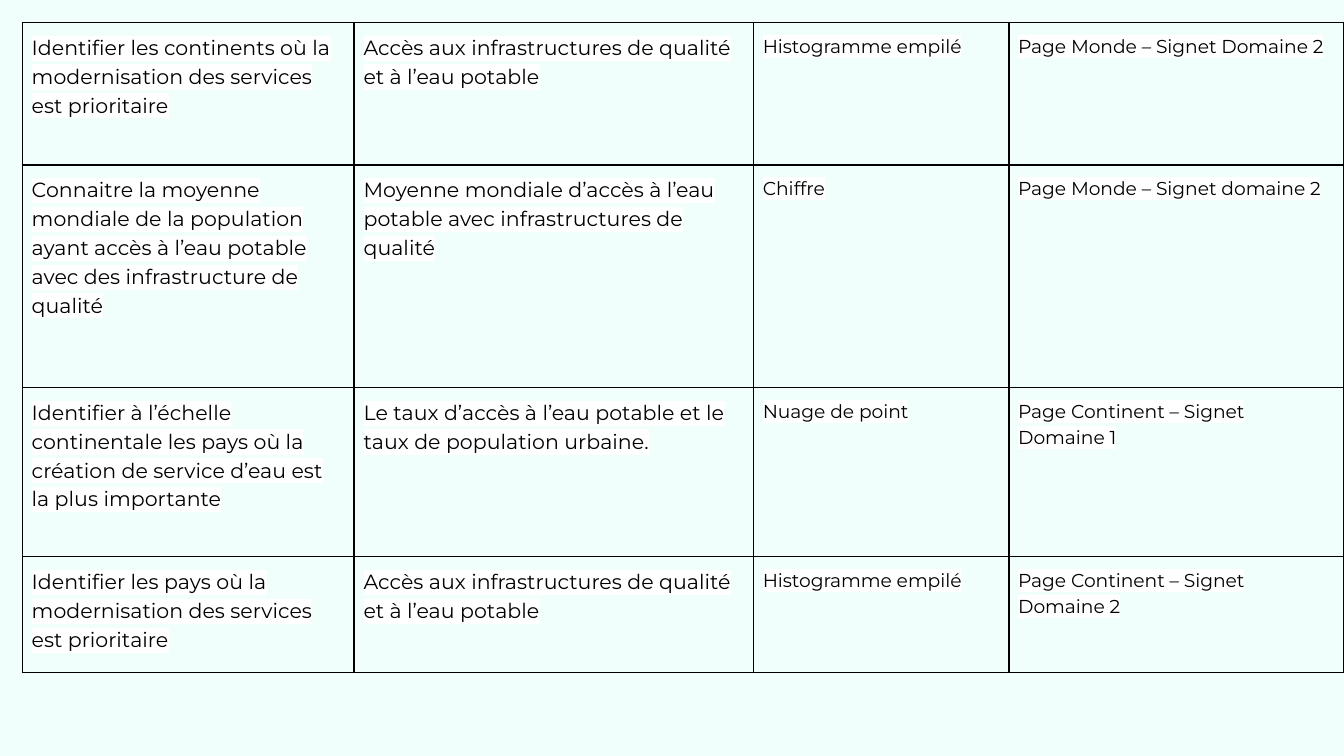
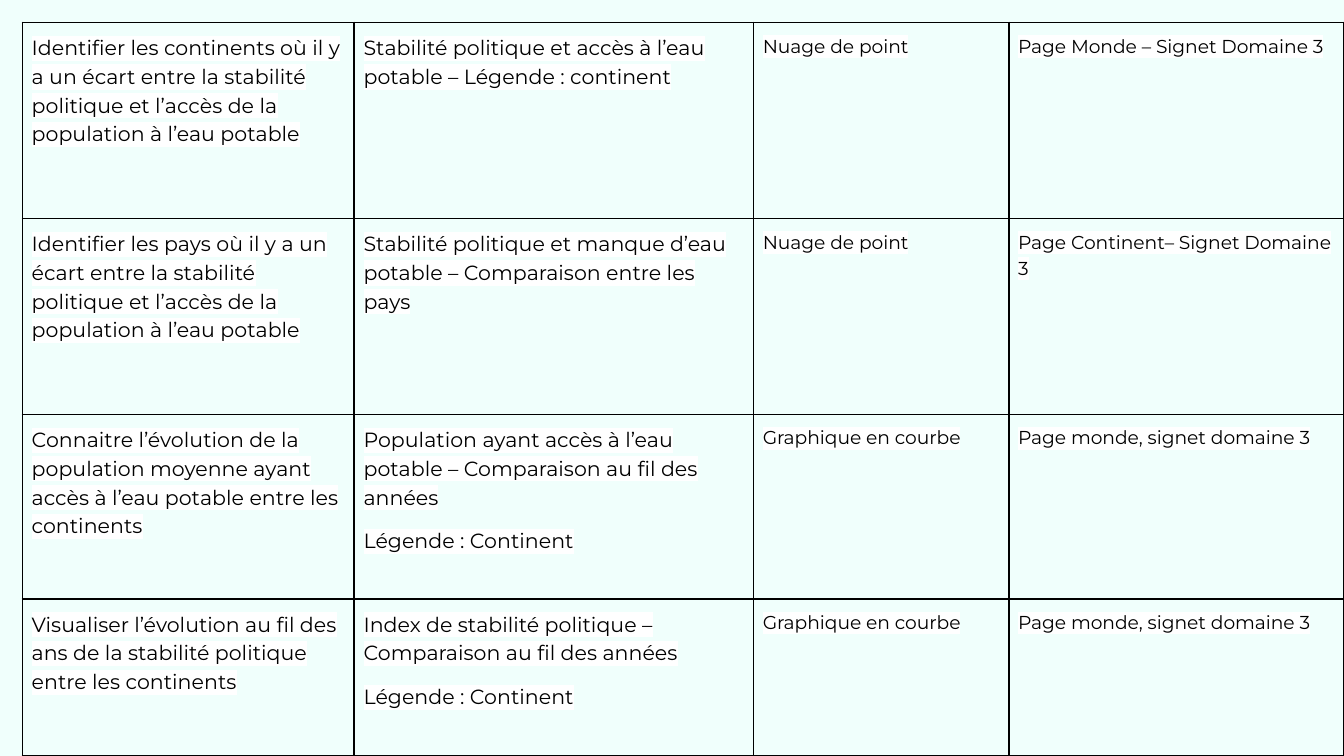
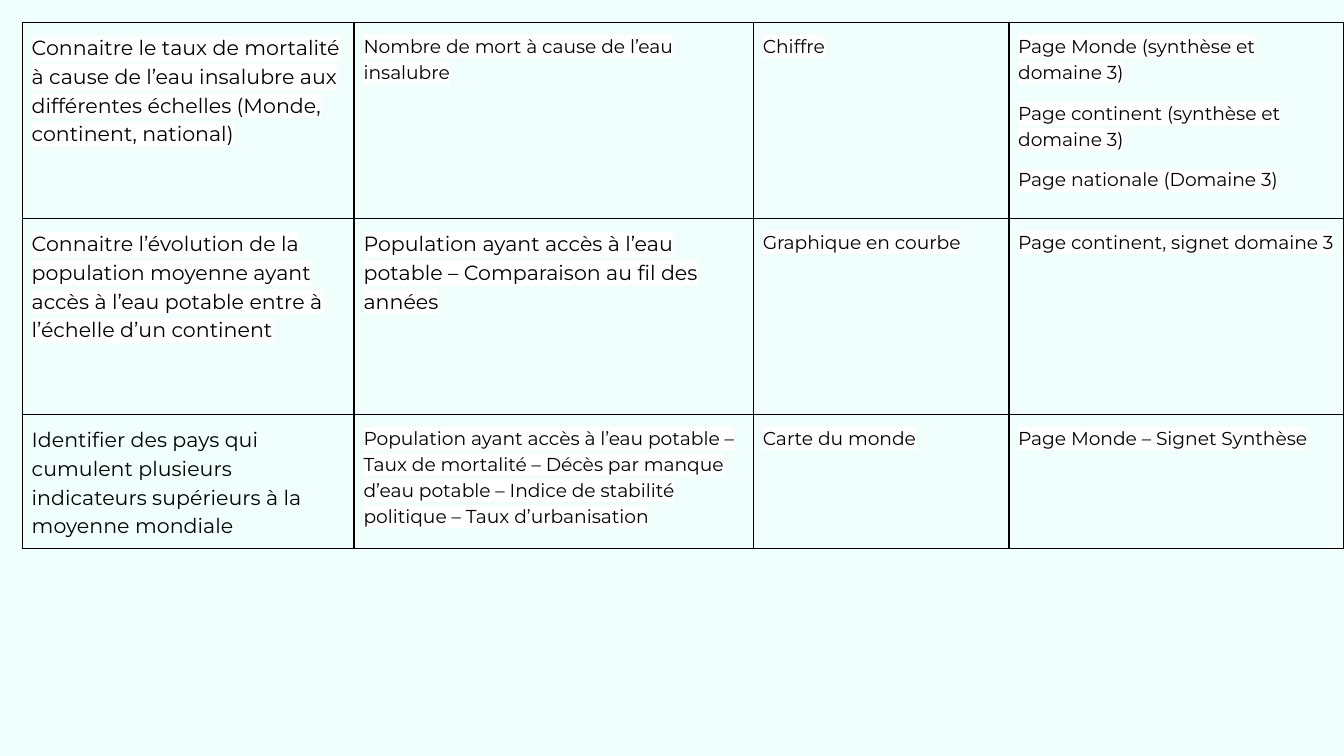
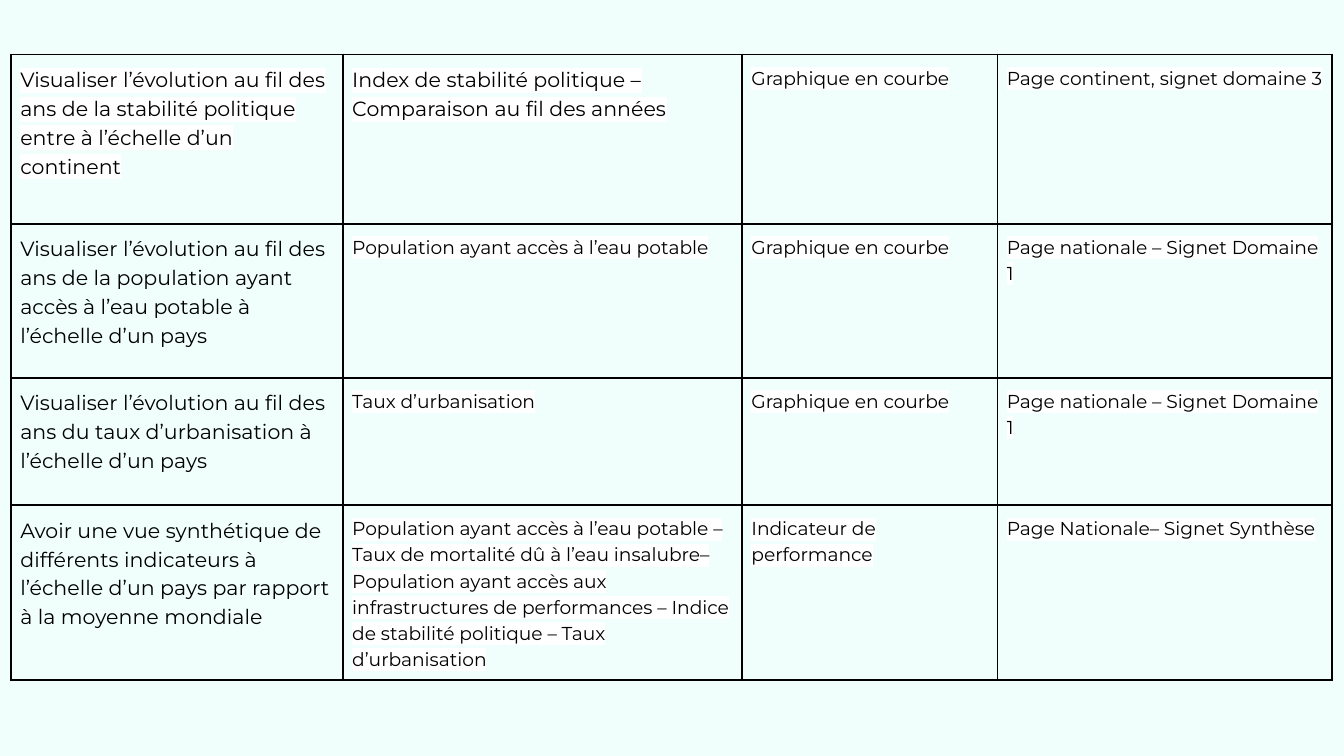
"""Build four slides of tables that list dashboard needs, indicators, visuals and pages."""
from dataclasses import dataclass

from lxml import etree
from pptx import Presentation
from pptx.dml.color import RGBColor
from pptx.oxml import ns
from pptx.util import Pt

BACKGROUND = RGBColor(0xF0, 0xFF, 0xFC)
BLACK = RGBColor(0, 0, 0)
WHITE = RGBColor(0xFF, 0xFF, 0xFF)
FONT = "Montserrat"
LARGE, SMALL = 11, 10
COLUMN_WIDTHS = (177.8, 213.9, 136.8, 179.2)
INSET = 5
BORDER_WIDTH = 1
LEFT, TOP = 12, 12
LAST_LEFT = 5.9


@dataclass
class Need:
    """One table row; an indicator or page may hold several lines."""
    height: float
    goal: str
    indicator: str
    visual: str
    page: str
    indicator_size: int = LARGE
    goal_highlighted: bool = True


CONTINENT_NEEDS = [
    Need(76.3, "Identifier les continents où la modernisation des services est prioritaire",
         "Accès aux infrastructures de qualité et à l’eau potable",
         "Histogramme empilé", "Page Monde – Signet Domaine 2"),
    Need(119.3, "Connaitre la moyenne mondiale de la population ayant accès à l’eau potable "
         "avec des infrastructure de qualité",
         "Moyenne mondiale d’accès à l’eau potable avec infrastructures de qualité",
         "Chiffre", "Page Monde – Signet domaine 2"),
    Need(90.7, "Identifier à l’échelle continentale les pays où la création de service d’eau "
         "est la plus importante",
         "Le taux d’accès à l’eau potable et le taux de population urbaine.",
         "Nuage de point", "Page Continent – Signet Domaine 1"),
    Need(62, "Identifier les pays où la modernisation des services est prioritaire",
         "Accès aux infrastructures de qualité et à l’eau potable",
         "Histogramme empilé", "Page Continent – Signet Domaine 2"),
]

STABILITY_NEEDS = [
    Need(105, "Identifier les continents où il y a un écart entre la stabilité politique et "
         "l’accès de la population à l’eau potable",
         "Stabilité politique et accès à l’eau potable – Légende : continent",
         "Nuage de point", "Page Monde – Signet Domaine 3"),
    Need(105, "Identifier les pays où il y a un écart entre la stabilité politique et "
         "l’accès de la population à l’eau potable",
         "Stabilité politique et manque d’eau potable – Comparaison entre les pays",
         "Nuage de point", "Page Continent– Signet Domaine 3"),
    Need(99, "Connaitre l’évolution de la population moyenne ayant accès à l’eau potable "
         "entre les continents",
         "Population ayant accès à l’eau potable – Comparaison au fil des années\n"
         "Légende : Continent",
         "Graphique en courbe", "Page monde, signet domaine 3"),
    Need(84, "Visualiser l’évolution au fil des ans de la stabilité politique entre les continents",
         "Index de stabilité politique – Comparaison au fil des années\nLégende : Continent",
         "Graphique en courbe", "Page monde, signet domaine 3"),
]

MORTALITY_NEEDS = [
    Need(105, "Connaitre le taux de mortalité à cause de l’eau insalubre aux différentes "
         "échelles (Monde, continent, national)",
         "Nombre de mort à cause de l’eau insalubre", "Chiffre",
         "Page Monde (synthèse et domaine 3)\nPage continent (synthèse et domaine 3)\n"
         "Page nationale (Domaine 3)", SMALL),
    Need(105, "Connaitre l’évolution de la population moyenne ayant accès à l’eau potable "
         "entre à l’échelle d’un continent",
         "Population ayant accès à l’eau potable – Comparaison au fil des années",
         "Graphique en courbe", "Page continent, signet domaine 3"),
]

WORLD_SUMMARY = [
    Need(69.8, "Identifier des pays qui cumulent plusieurs indicateurs supérieurs à la "
         "moyenne mondiale",
         "Population ayant accès à l’eau potable – Taux de mortalité – Décès par manque "
         "d’eau potable – Indice de stabilité politique – Taux d’urbanisation",
         "Carte du monde", "Page Monde – Signet Synthèse", SMALL, False),
]

COUNTRY_NEEDS = [
    Need(90.7, "Visualiser l’évolution au fil des ans de la stabilité politique entre à "
         "l’échelle d’un continent",
         "Index de stabilité politique – Comparaison au fil des années",
         "Graphique en courbe", "Page continent, signet domaine 3"),
    Need(82.5, "Visualiser l’évolution au fil des ans de la population ayant accès à l’eau "
         "potable à l’échelle d’un pays",
         "Population ayant accès à l’eau potable",
         "Graphique en courbe", "Page nationale – Signet Domaine 1", SMALL, False),
    Need(68.3, "Visualiser l’évolution au fil des ans du taux d’urbanisation à l’échelle d’un pays",
         "Taux d’urbanisation",
         "Graphique en courbe", "Page nationale – Signet Domaine 1", SMALL, False),
]

COUNTRY_SUMMARY = [
    Need(90, "Avoir une vue synthétique de différents indicateurs à l’échelle d’un pays "
         "par rapport à la moyenne mondiale",
         "Population ayant accès à l’eau potable – Taux de mortalité dû à l’eau insalubre– "
         "Population ayant accès aux infrastructures de performances – Indice de stabilité "
         "politique – Taux d’urbanisation",
         "Indicateur de performance", "Page Nationale– Signet Synthèse", SMALL, False),
]

SLIDES = [
    [(LEFT, TOP, CONTINENT_NEEDS)],
    [(LEFT, TOP, STABILITY_NEEDS)],
    [(LEFT, TOP, MORTALITY_NEEDS), (LEFT, 222, WORLD_SUMMARY)],
    [(LAST_LEFT, 29.2, COUNTRY_NEEDS), (LAST_LEFT, 270.7, COUNTRY_SUMMARY)],
]


def add_color(parent, tag, color):
    """Add an element that holds one RGB colour."""
    holder = etree.SubElement(parent, ns.qn(tag))
    etree.SubElement(holder, ns.qn("a:srgbClr"), val=str(color))


def style_cell(cell):
    """Give a cell its borders, clear fill and insets."""
    properties = cell._tc.get_or_add_tcPr()
    for side in ("L", "R", "T", "B"):
        line = etree.SubElement(properties, ns.qn(f"a:ln{side}"), w=str(Pt(BORDER_WIDTH)))
        add_color(line, "a:solidFill", BLACK)
    cell.fill.background()
    cell.margin_left = cell.margin_right = Pt(INSET)
    cell.margin_top = cell.margin_bottom = Pt(INSET)


def add_run(paragraph, words, size, highlighted):
    """Add a run in the shared font, highlighted in white on request."""
    run = paragraph.add_run()
    run.text = words
    run.font.size = Pt(size)
    run.font.color.rgb = BLACK
    if highlighted:
        add_color(run._r.get_or_add_rPr(), "a:highlight", WHITE)
    run.font.name = FONT


def write_cell(cell, content, size, highlighted=True):
    """Write each line of the content as a paragraph of a styled cell."""
    style_cell(cell)
    frame = cell.text_frame
    for index, words in enumerate(content.split("\n")):
        paragraph = frame.add_paragraph() if index else frame.paragraphs[0]
        paragraph.line_spacing = 1.15
        if index:
            paragraph.space_before = Pt(8)
        add_run(paragraph, words, size, highlighted)


def add_needs_table(slide, left, top, needs):
    """Add a table with one row for each need."""
    frame = slide.shapes.add_table(
        len(needs), len(COLUMN_WIDTHS), Pt(left), Pt(top),
        Pt(sum(COLUMN_WIDTHS)), Pt(sum(need.height for need in needs)))
    table = frame.table
    table.first_row = table.horz_banding = False
    for column, width in zip(table.columns, COLUMN_WIDTHS):
        column.width = Pt(width)
    for row, need in zip(table.rows, needs):
        row.height = Pt(need.height)
        goal, indicator, visual, page = row.cells
        write_cell(goal, need.goal, LARGE, need.goal_highlighted)
        write_cell(indicator, need.indicator, need.indicator_size)
        write_cell(visual, need.visual, SMALL)
        write_cell(page, need.page, SMALL)


def add_slide(presentation):
    """Add a blank slide with the shared background."""
    slide = presentation.slides.add_slide(presentation.slide_layouts[6])
    slide.background.fill.solid()
    slide.background.fill.fore_color.rgb = BACKGROUND
    return slide


def main():
    """Build and save the presentation."""
    presentation = Presentation()
    presentation.slide_width = Pt(720)
    presentation.slide_height = Pt(405)
    for tables in SLIDES:
        slide = add_slide(presentation)
        for left, top, needs in tables:
            add_needs_table(slide, left, top, needs)
    presentation.save("out.pptx")


if __name__ == "__main__":
    main()
